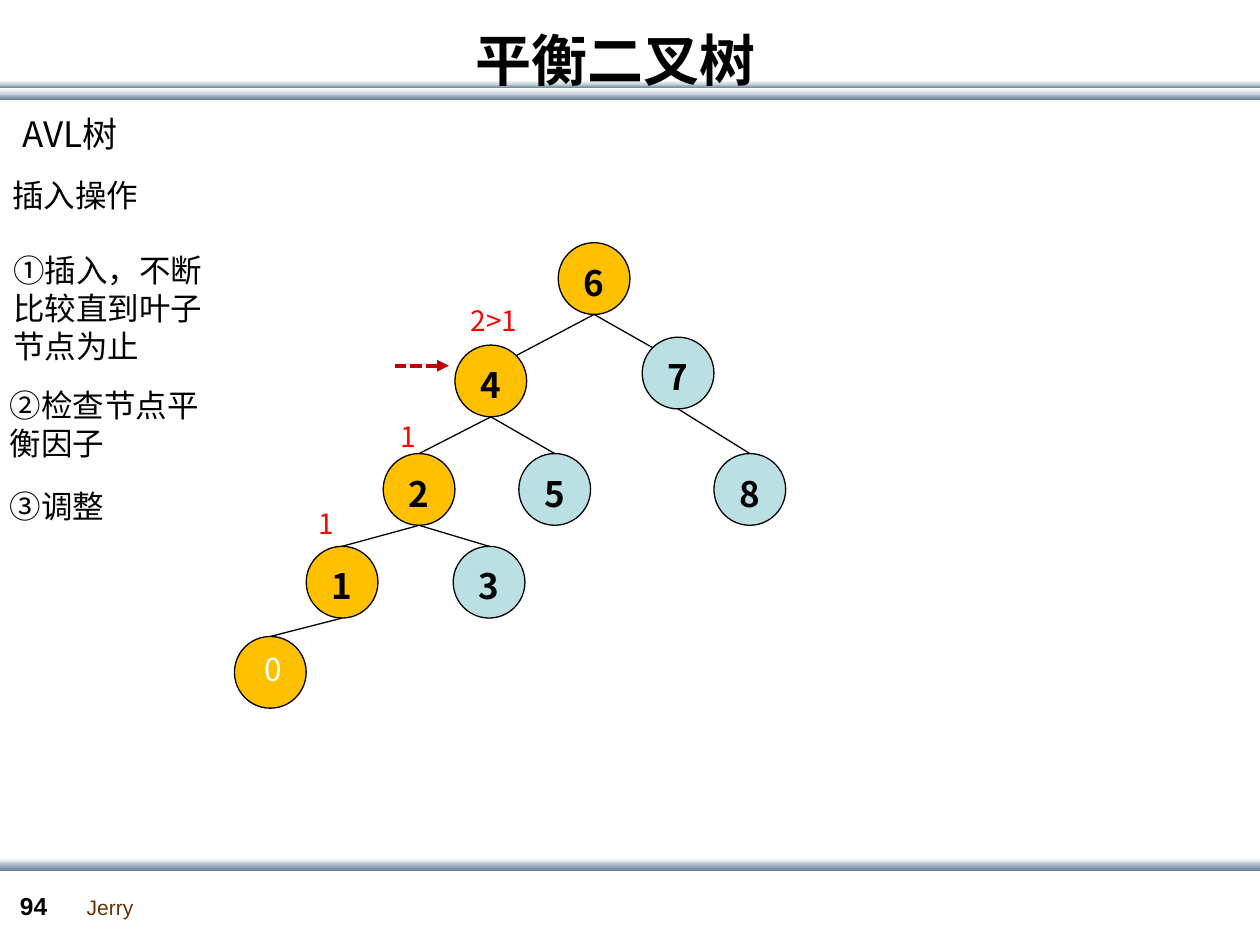
from math import sqrt

from lxml.etree import SubElement
from pptx import Presentation
from pptx.dml.color import RGBColor
from pptx.enum.dml import MSO_LINE
from pptx.enum.shapes import MSO_CONNECTOR, MSO_SHAPE
from pptx.enum.text import MSO_ANCHOR, PP_ALIGN
from pptx.oxml.ns import qn
from pptx.util import Pt

COLORS = {
    "black": "000000", "white": "FFFFFF", "red": "FF0000", "arrow": "C00000",
    "brown": "663300", "visited": "FFC000", "node": "BBE0E3",
    "pale": "C8D1DA", "steel": "6A839C",
}
CJK = "Noto Sans CJK SC"
DIAMETER = 41
RADIUS = DIAMETER / 2

# Key: left, top within the tree, fill
NODES = {
    "6": (185, 0, "visited"),
    "4": (126, 58.5, "visited"),
    "7": (233, 54, "node"),
    "2": (85, 120.5, "visited"),
    "5": (162.5, 120.5, "node"),
    "8": (274, 120.5, "node"),
    "1": (41, 173.5, "visited"),
    "3": (125, 173.5, "node"),
    "0": (0, 225, "visited"),
}
# Parent, child, side of the child's rim that the edge meets
EDGES = [
    ("6", "4", 1), ("6", "7", -1), ("4", "2", 0), ("4", "5", 0),
    ("7", "8", 0), ("2", "1", 0), ("2", "3", 0), ("1", "0", 0),
]
# Balance factor: left, top, width within the tree
FACTORS = [("2>1", 128, 30, 43.2), ("1", 88, 96.5, 21), ("1", 41, 146, 21)]

# Step: left, top, width, height, size
STEPS = [
    ("AVL树", 5.8, 0, 77, 32, 20),
    ("插入操作", 0, 36, 101, 29, 18),
    ("①插入，不断比较直到叶子节点为止", 0.5, 79.2, 139.7, 73, 18),
    ("②检查节点平衡因子", -1.5, 156.2, 139.7, 51, 18),
    ("③调整", -1.5, 213.8, 139.7, 29, 18),
]


def rgb(name):
    return RGBColor.from_string(COLORS[name])


def write(shape, text, size, color="black", font=CJK, bold=False,
          align=PP_ALIGN.LEFT, anchor=MSO_ANCHOR.TOP, wrap=True):
    frame = shape.text_frame
    frame.word_wrap = wrap
    frame.vertical_anchor = anchor
    para = frame.paragraphs[0]
    para.alignment = align
    span = para.add_run()
    span.text = text
    span.font.size = Pt(size)
    span.font.bold = bold
    span.font.color.rgb = rgb(color)
    span.font.name = font
    if font == CJK:
        SubElement(span.font._element, qn("a:ea"), typeface=font)
        # The font's own line height is too tall for these boxes
        para.line_spacing = Pt(size * 1.2)
        frame.margin_top = Pt(4.6)


def add_text(page, left, top, width, height, text, size, **style):
    box = page.shapes.add_textbox(Pt(left), Pt(top), Pt(width), Pt(height))
    write(box, text, size, **style)


def add_line(page, start, end, color="black", width=0.75):
    line = page.shapes.add_connector(
        MSO_CONNECTOR.STRAIGHT, *(Pt(value) for value in (*start, *end)))
    line.line.color.rgb = rgb(color)
    line.line.width = Pt(width)
    SubElement(line._element.spPr, qn("a:effectLst"))
    return line


def add_band(page, top, height, upper, lower):
    band = page.shapes.add_shape(
        MSO_SHAPE.RECTANGLE, 0, Pt(top), Pt(720), Pt(height))
    band.shadow.inherit = False
    band.line.fill.background()
    band.fill.gradient()
    band.fill.gradient_angle = 270
    for stop, color in zip(band.fill.gradient_stops, (upper, lower)):
        stop.color.rgb = rgb(color)


def add_header(page, top):
    add_band(page, top + 7.2, 3.8, "pale", "steel")
    add_band(page, top + 2.2, 2.2, "pale", "steel")
    add_band(page, top + 4.4, 3.4, "white", "pale")
    add_band(page, top, 2.2, "white", "pale")
    add_text(page, 28, top - 58, 648, 90, "平衡二叉树", 32, bold=True,
             align=PP_ALIGN.CENTER, anchor=MSO_ANCHOR.MIDDLE)


def add_footer(page, top):
    add_band(page, top, 3.6, "white", "pale")
    add_band(page, top + 2.4, 4.8, "pale", "steel")
    add_text(page, 42.5, top + 17.3, 42, 21.6, "Jerry", 12,
             color="brown", font="Arial", wrap=False)
    add_text(page, 4.3, top + 15.1, 39.6, 24, "94", 14,
             font="Arial", bold=True)


def add_steps(page, left, top):
    for text, x, y, width, height, size in STEPS:
        add_text(page, left + x, top + y, width, height, text, size)


def add_node(page, left, top, color, key=""):
    circle = page.shapes.add_shape(
        MSO_SHAPE.OVAL, Pt(left), Pt(top), Pt(DIAMETER), Pt(DIAMETER))
    circle.shadow.inherit = False
    circle.fill.solid()
    circle.fill.fore_color.rgb = rgb(color)
    circle.line.color.rgb = rgb("black")
    circle.line.width = Pt(0.75)
    if key:
        write(circle, key, 20, bold=True, align=PP_ALIGN.CENTER)


def add_tree(page, left, top):
    for key, (x, y, color) in NODES.items():
        # The inserted node has its key in a box of its own
        add_node(page, left + x, top + y, color, "" if key == "0" else key)
    add_text(page, left + 10, top + 228, 25.2, 29, "0", 18, color="white")

    diagonal = RADIUS / sqrt(2)
    for parent, child, side in EDGES:
        parent_x, parent_y, _ = NODES[parent]
        child_x, child_y, _ = NODES[child]
        drop = RADIUS - diagonal if side else 0
        add_line(page,
                 (left + parent_x + RADIUS, top + parent_y + DIAMETER),
                 (left + child_x + RADIUS + side * diagonal,
                  top + child_y + drop))

    for text, x, y, width in FACTORS:
        add_text(page, left + x, top + y, width, 26.6, text, 16, color="red")

    arrow = add_line(page, (left + 91.5, top + 70.3),
                     (left + 122.5, top + 70.3), "arrow", 2.25)
    arrow.line.dash_style = MSO_LINE.SQUARE_DOT
    SubElement(arrow.line._get_or_add_ln(), qn("a:tailEnd"), type="triangle")


def main():
    deck = Presentation()
    deck.slide_width, deck.slide_height = Pt(720), Pt(540)
    page = deck.slides.add_slide(deck.slide_layouts[6])
    add_header(page, 46)
    add_footer(page, 490.3)
    add_steps(page, 0, 59.8)
    add_tree(page, 134, 138.7)
    deck.save("out.pptx")


if __name__ == "__main__":
    main()
